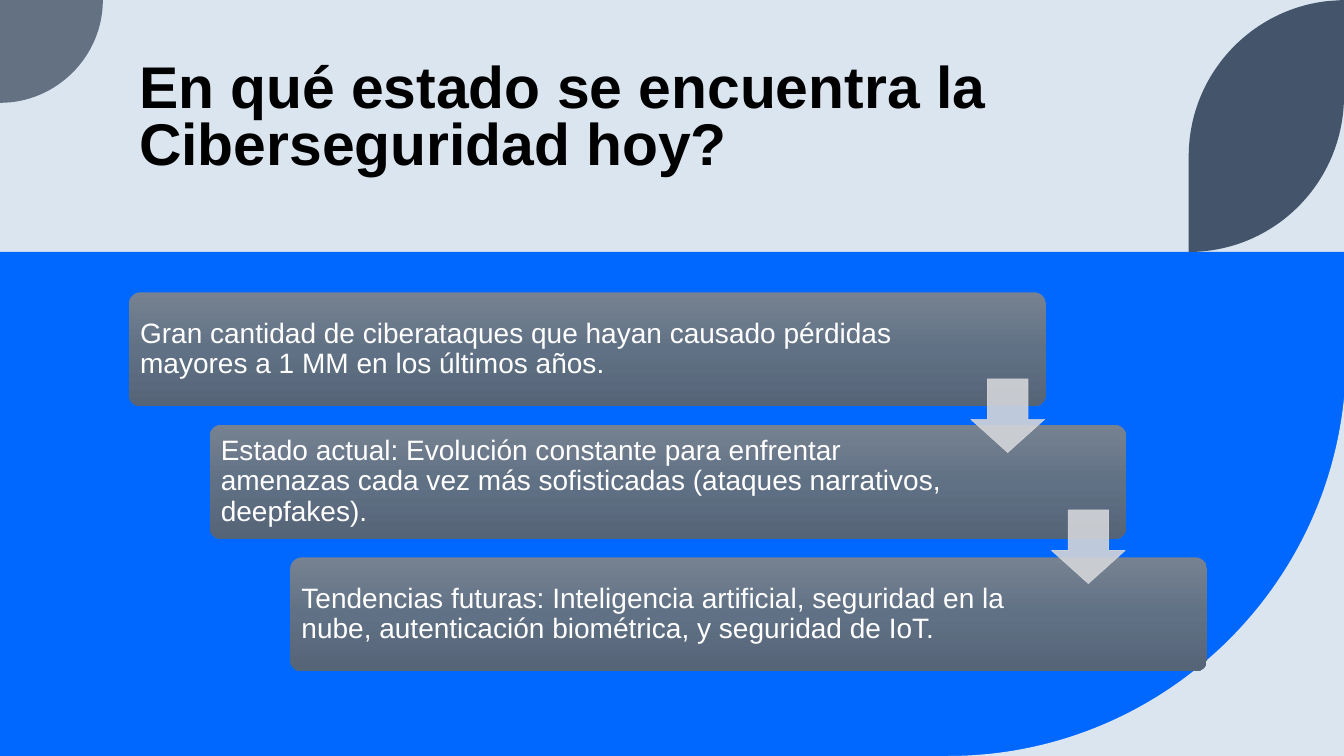
"""Build the slide on the current state of cybersecurity."""
from copy import deepcopy

from lxml import etree
from pptx import Presentation
from pptx.dml.color import RGBColor
from pptx.enum.shapes import MSO_SHAPE
from pptx.enum.text import MSO_ANCHOR, MSO_AUTO_SIZE, PP_ALIGN
from pptx.oxml.ns import qn
from pptx.util import Pt

RECT, ROUND, DOWN = MSO_SHAPE.RECTANGLE, MSO_SHAPE.ROUNDED_RECTANGLE, MSO_SHAPE.DOWN_ARROW
MIDDLE, BOTTOM = MSO_ANCHOR.MIDDLE, MSO_ANCHOR.BOTTOM
LEFT, NO_FIT = PP_ALIGN.LEFT, MSO_AUTO_SIZE.NONE
PX = 9144
WIDE, HIGH = 1333, 750
PALE, BLUE, SLATE, NAVY, GREY = "DAE5EF", "0068FF", "637183", "44546A", "D3D5D9"
SHADES = [(0, "768291"), (0.5, "617185"), (1, "556477")]
TITLE = "En qué estado se encuentra la Ciberseguridad hoy?"
STEPS = [
    ("Gran cantidad de ciberataques que hayan causado pérdidas mayores a 1 MM en los últimos años.", 787),
    ("Estado actual: Evolución constante para enfrentar amenazas cada vez más sofisticadas "
     "(ataques narrativos, deepfakes).", 749),
    ("Tendencias futuras: Inteligencia artificial, seguridad en la nube, autenticación biométrica, "
     "y seguridad de IoT.", 749),
]
FORMS = [
    (PALE, [(1335, 355)], [(1335, 573), (1158, 750), (940, 750)], [(1335, 750)]),
    (SLATE, [(0, 0)], [(102, 0)], [(102, 56), (56, 102), (0, 102)]),
    (NAVY, [(1333, 0)], [(1333, 95)], [(1333, 181), (1264, 250), (1179, 250)],
     [(1179, 155)], [(1179, 75), (1240, 9), (1318, 1)]),
]
BAR, ARROW = (128, 290, 909, 113), (963, 376, 73, 73)
SHIFT, SPAN, FALL, EDGE = 80, 263, 130, 3
HEAD = {"size": Pt(42), "name": "Arial", "bold": True}
BODY = {"size": Pt(20), "name": "Arial", "bold": False}


def px(*vals):
    return [round(v * PX) for v in vals]


def rgb(code):
    return RGBColor.from_string(code)


def paint(shape, code):
    shape.shadow.inherit = False
    shape.fill.solid()
    shape.fill.fore_color.rgb = rgb(code)
    shape.line.fill.background()


def outline(shapes, code, *parts):
    spots = [px(*spot) for part in parts for spot in part]
    build = shapes.build_freeform(*spots[0], scale=1.0)
    build.add_line_segments(spots[1:], close=True)
    form = build.convert_to_shape()
    lines = iter(list(form.element.spPr.iter(qn("a:lnTo"))))
    for part in parts[1:]:
        group = [next(lines) for _ in part]
        if len(group) == 3:
            curve = etree.Element(qn("a:cubicBezTo"))
            group[0].addprevious(curve)
            for line in group:
                curve.append(line[0])
                line.getparent().remove(line)
    paint(form, code)


def write(shape, text, code, face, space, anchor):
    frame = shape.text_frame
    frame.word_wrap, frame.auto_size, frame.vertical_anchor = True, NO_FIT, anchor
    para = frame.paragraphs[0]
    para.alignment, para.line_spacing = LEFT, space
    run = para.add_run()
    run.text = text
    for key, val in face.items():
        setattr(run.font, key, val)
    run.font.color.rgb = rgb(code)


def shade(shape):
    shape.fill.gradient()
    shape.fill.gradient_angle = 270
    stops = shape.element.spPr.find(".//" + qn("a:gsLst"))
    stops.insert(1, deepcopy(stops[0]))
    for stop, (place, code) in zip(shape.fill.gradient_stops, SHADES):
        stop.position, stop.color.rgb = place, rgb(code)


def add_bar(shapes, i, text, width):
    x, y, w, h = BAR
    x, y = x + i * SHIFT, y + i * SPAN / (len(STEPS) - 1)
    bar = shapes.add_shape(ROUND, *px(x, y, w, h))
    paint(bar, SLATE)
    bar.adjustments[0] = 0.1
    shade(bar)
    box = shapes.add_textbox(*px(x + EDGE, y + EDGE, width, h - 2 * EDGE))
    for side in ("left", "top", "right", "bottom"):
        setattr(box.text_frame, "margin_" + side, 8 * PX)
    write(box, text, "FFFFFF", BODY, 0.9, MIDDLE)


def add_arrow(shapes, i):
    x, y, w, h = ARROW
    arrow = shapes.add_shape(DOWN, *px(x + i * SHIFT, y + i * FALL, w, h))
    paint(arrow, GREY)
    arrow.adjustments[0], arrow.adjustments[1] = 0.55, 0.45
    arrow.line.color.rgb, arrow.line.width = rgb(GREY), Pt(0.5)
    for tone in arrow.element.spPr.iter(qn("a:srgbClr")):
        etree.SubElement(tone, qn("a:alpha")).set("val", "90000")


def main():
    deck = Presentation()
    deck.slide_width, deck.slide_height = px(WIDE, HIGH)
    slide = deck.slides.add_slide(deck.slide_layouts[5])
    back = slide.background.fill
    back.solid()
    back.fore_color.rgb = rgb(PALE)
    shapes = slide.shapes
    title = shapes.title
    title.left, title.top, title.width, title.height = px(128, 5, 1069, 175)
    write(title, TITLE, "000000", HEAD, 0.8, BOTTOM)

    paint(shapes.add_shape(RECT, *px(0, 250, 1335, 500)), BLUE)
    for form in FORMS:
        outline(shapes, *form)
    for i, (text, width) in enumerate(STEPS):
        add_bar(shapes, i, text, width)
    for i in range(len(STEPS) - 1):
        add_arrow(shapes, i)
    deck.save("out.pptx")


if __name__ == "__main__":
    main()
